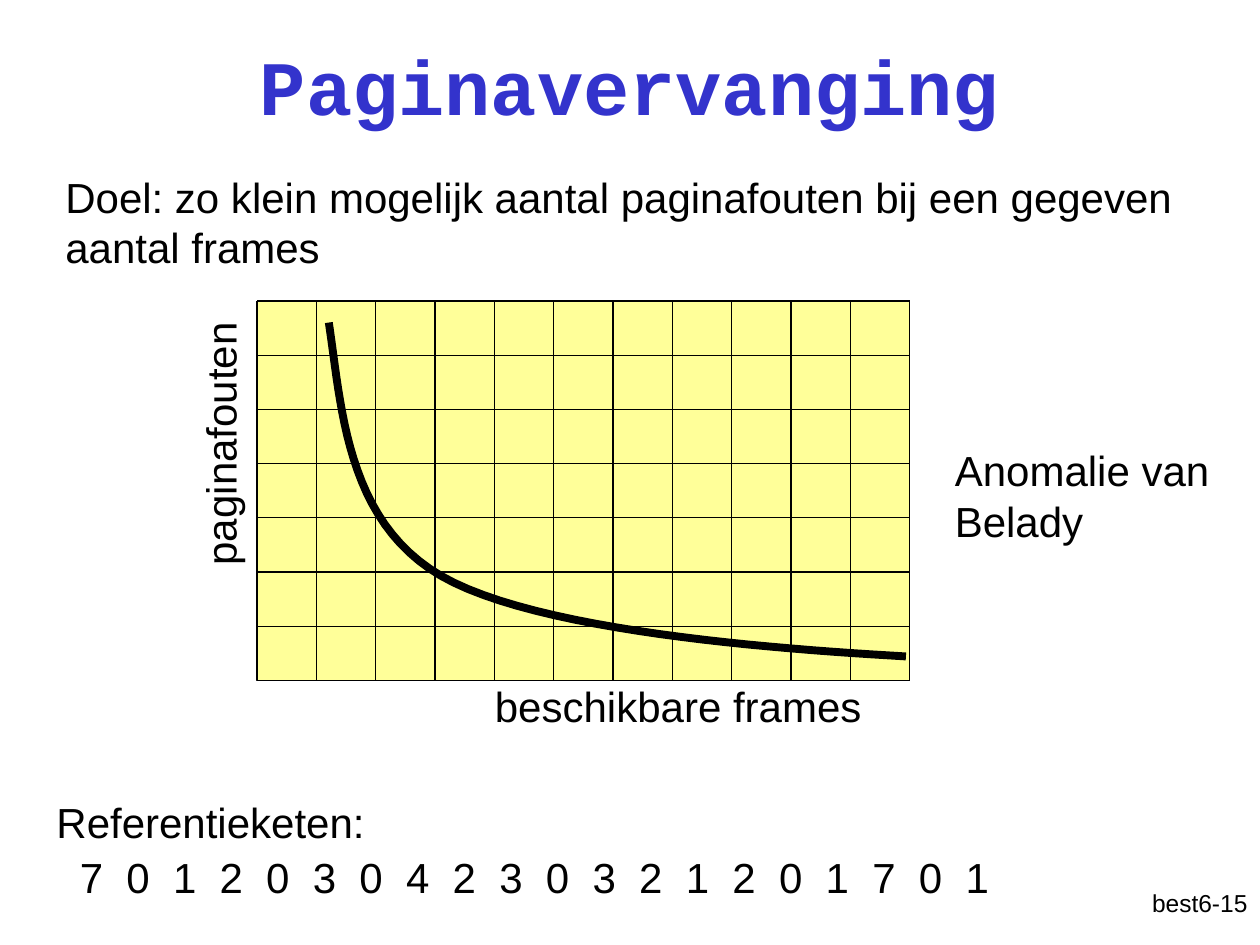
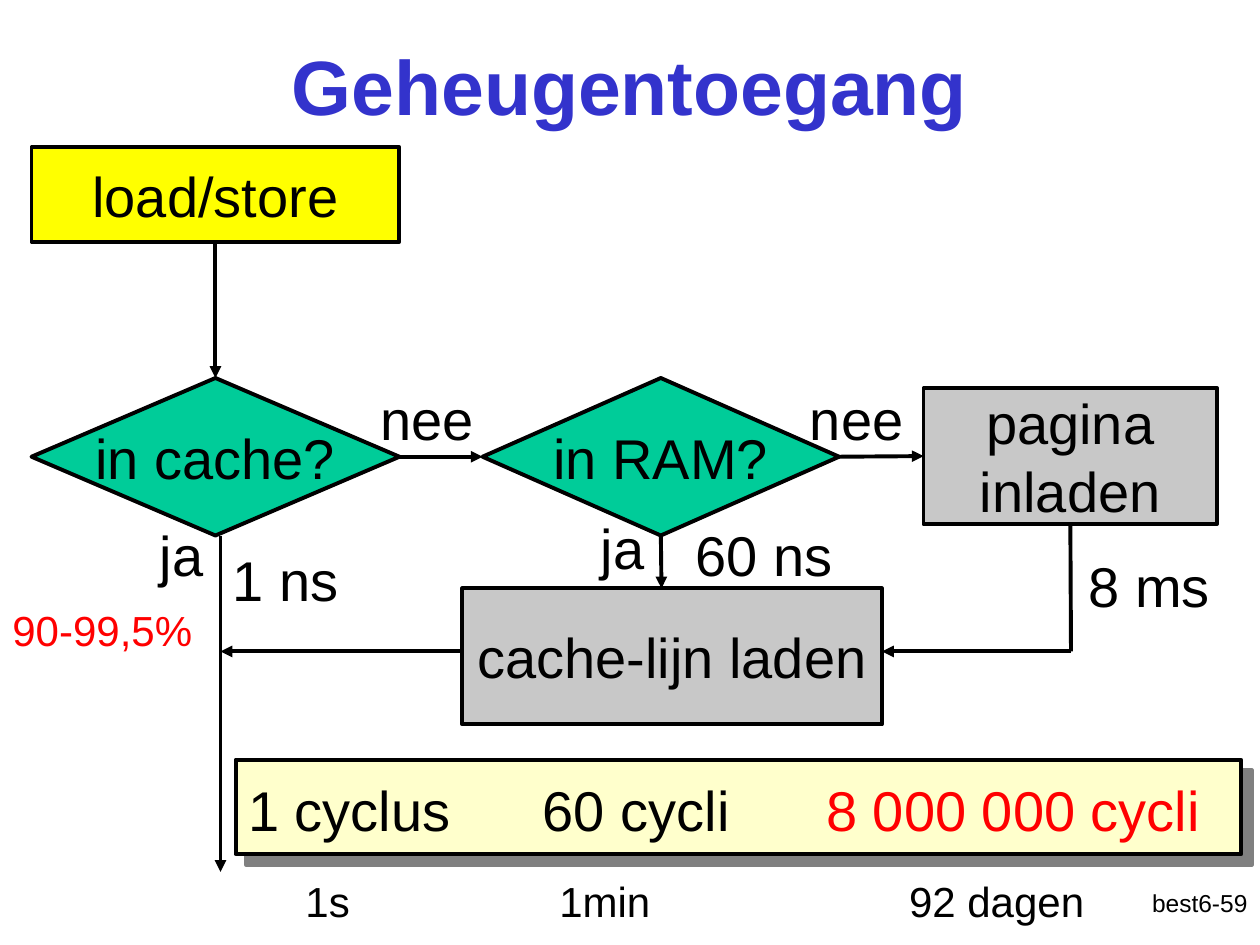
"""Builds two lecture slides on page replacement and memory access."""
from lxml import etree
from pptx import Presentation
from pptx.dml.color import RGBColor
from pptx.enum.shapes import MSO_CONNECTOR as Connector, MSO_SHAPE as Shape
from pptx.enum.text import MSO_ANCHOR as Anchor, PP_ALIGN as Align
from pptx.oxml.ns import qn
from pptx.util import Inches, Pt

BLACK = RGBColor(0x00, 0x00, 0x00)
RED = RGBColor(0xFF, 0x00, 0x00)
TITLE_BLUE = RGBColor(0x33, 0x33, 0xCC)
GRID_YELLOW = RGBColor(0xFF, 0xFF, 0x99)
BAND_CREAM = RGBColor(0xFF, 0xFF, 0xCC)
START_YELLOW = RGBColor(0xFF, 0xFF, 0x00)
TEST_GREEN = RGBColor(0x00, 0xCC, 0x99)
STEP_GREY = RGBColor(0xC8, 0xC8, 0xC8)
SHADOW_GREY = RGBColor(0x80, 0x80, 0x80)
BODY_FONT, CODE_FONT = "Arial", "Courier New"
TOP, LEFT, BOTTOM, RIGHT = range(4)

PAGING_TEXTS = [
    ("Doel: zo klein mogelijk aantal paginafouten bij een gegeven aantal frames",
     (0.42, 1.31, 9.58, 0.9)),
    ("Anomalie van Belady", (7.48, 3.48, 2.4, 0.9)),
    ("beschikbare frames", (3.83, 5.35, 3.5, 0.5)),
]
AXIS_TEXT = ("paginafouten", (0.5, 3.09, 2.49, 0.5))
GRID_BOX = (2.04, 2.39, 5.18, 3.01)
GRID_COLUMNS, GRID_ROWS = 11, 7
FAULT_CURVES = [
    ((2.61, 2.56), (2.71, 3.21), (2.74, 4.13), (3.5, 4.57)),
    ((3.5, 4.57), (4.26, 5.01), (6.14, 5.15), (7.19, 5.21)),
]
CURVE_STEPS = 24
REFERENCE_TITLE = "Referentieketen:"
REFERENCES = [7, 0, 1, 2, 0, 3, 0, 4, 2, 3, 0, 3, 2, 1, 2, 0, 1, 7, 0, 1]
REFERENCE_BOX = (0.35, 6.27, 9.06, 0.91)
REFERENCE_PITCH = 0.37

FLOW_BOXES = {
    "load": (Shape.RECTANGLE, ["load/store"], START_YELLOW, (0.25, 1.17, 2.92, 0.75)),
    "cache": (Shape.DIAMOND, ["in cache?"], TEST_GREEN, (0.25, 3, 2.92, 1.25)),
    "ram": (Shape.DIAMOND, ["in RAM?"], TEST_GREEN, (3.83, 3, 2.83, 1.25)),
    "line": (Shape.RECTANGLE, ["cache-lijn laden"], STEP_GREY, (3.67, 4.67, 3.33, 1.08)),
    "page": (Shape.RECTANGLE, ["pagina", "inladen"], STEP_GREY, (7.33, 3.08, 2.33, 1.08)),
}
FLOW_LINES = [
    ((1.71, 1.92), (1.71, 3), True, ("load", BOTTOM), ("cache", TOP)),
    ((3.17, 3.63), (3.83, 3.63), True, ("cache", RIGHT), ("ram", LEFT)),
    ((6.66, 3.63), (7.33, 3.63), True, ("ram", RIGHT), ("page", LEFT)),
    ((5.25, 4.25), (5.25, 4.67), True, ("ram", BOTTOM), None),
    ((8.5, 4.16), (8.5, 5.17), False, ("page", BOTTOM), None),
    ((8.5, 5.17), (7, 5.17), True, None, None),
    ((3.67, 5.17), (1.75, 5.17), True, None, None),
    ((1.75, 4.25), (1.75, 6.92), True, None, None),
]
FLOW_LABELS = [
    ("ja", 1.17, 4.08, 0.58), ("ja", 4.67, 4.03, 0.58),
    ("nee", 2.92, 3, 1.17), ("nee", 6.33, 3, 1.17),
    ("1 ns", 1.75, 4.28, 1.5), ("60 ns", 5.42, 4.08, 1.92), ("8 ms", 8.54, 4.33, 1.45),
]
HIT_RATE = ("90-99,5%", (0, 4.75, 1.75, 0.5))
COST_BAND = (1.87, 6.03, 7.98, 0.75)
CYCLE_COSTS = [
    ("1 cyclus", 1.87, 2.02, BLACK),
    ("60 cycli", 4.21, 2, BLACK),
    ("8 000 000 cycli", 6.46, 3.54, RED),
]
HUMAN_TIMES = [("1s", 2.09, 1.02), ("1min", 4.29, 1.02), ("92 dagen", 6.73, 2.36)]


def inches(values):
    return [Inches(value) for value in values]


def write(shape, lines, size, color=BLACK, align=Align.LEFT, font=BODY_FONT, bold=False):
    frame = shape.text_frame
    frame.text = "\n".join(lines)
    for paragraph in frame.paragraphs:
        paragraph.alignment = align
        paragraph.font.size = Pt(size)
        paragraph.font.name = font
        paragraph.font.bold = bold
        paragraph.font.color.rgb = color


def add_text(slide, text, box, size=24, **style):
    shape = slide.shapes.add_textbox(*inches(box))
    shape.text_frame.word_wrap = True
    write(shape, [text], size, **style)
    return shape


def add_box(slide, kind, box, fill, line_width):
    shape = slide.shapes.add_shape(kind, *inches(box))
    shape.shadow.inherit = False
    shape.fill.solid()
    shape.fill.fore_color.rgb = fill
    shape.line.color.rgb = BLACK
    shape.line.width = Pt(line_width)
    return shape


def add_line(slide, start, end, width, arrow=False):
    line = slide.shapes.add_connector(Connector.STRAIGHT, *inches(start + end))
    line.line.color.rgb = BLACK
    line.line.width = Pt(width)
    if arrow:
        etree.SubElement(line.line._get_or_add_ln(), qn("a:tailEnd"), type="triangle")
    etree.SubElement(line._element.spPr, qn("a:effectLst"))
    return line


def add_slide(presentation, title, number, title_font=BODY_FONT):
    slide = presentation.slides.add_slide(presentation.slide_layouts[6])
    add_text(slide, f"best6-{number}", (7.92, 7, 2.08, 0.5), 14, align=Align.RIGHT)
    heading = add_text(slide, title, (0.75, 0.05, 8.5, 1.25), 44, color=TITLE_BLUE,
                       align=Align.CENTER, font=title_font, bold=True)
    heading.text_frame.vertical_anchor = Anchor.MIDDLE
    return slide


def add_grid(slide):
    left, top, width, height = GRID_BOX
    right, bottom = left + width, top + height
    add_box(slide, Shape.RECTANGLE, GRID_BOX, GRID_YELLOW, 0.75)
    for column in range(GRID_COLUMNS + 1):
        x = left + column * width / GRID_COLUMNS
        add_line(slide, (x, top), (x, bottom), 0.75)
    for row in range(GRID_ROWS + 1):
        y = top + row * height / GRID_ROWS
        add_line(slide, (left, y), (right, y), 0.75)


def bezier_point(controls, t):
    weights = ((1 - t) ** 3, 3 * t * (1 - t) ** 2, 3 * t ** 2 * (1 - t), t ** 3)
    return tuple(sum(w * value for w, value in zip(weights, axis)) for axis in zip(*controls))


def add_fault_curve(slide):
    points = [bezier_point(controls, step / CURVE_STEPS)
              for controls in FAULT_CURVES for step in range(1, CURVE_STEPS + 1)]
    builder = slide.shapes.build_freeform(*inches(FAULT_CURVES[0][0]))
    builder.add_line_segments([inches(point) for point in points], close=False)
    curve = builder.convert_to_shape()
    curve.shadow.inherit = False
    curve.fill.background()
    curve.line.color.rgb = BLACK
    curve.line.width = Pt(4.5)


def add_references(slide):
    shape = add_text(slide, REFERENCE_TITLE, REFERENCE_BOX)
    chain = "".join(f"\t{page}" for page in REFERENCES)
    shape.text_frame.add_paragraph()
    paragraph = shape.text_frame.paragraphs[1]
    tabs = etree.SubElement(paragraph._p.get_or_add_pPr(), qn("a:tabLst"))
    for index in range(len(REFERENCES)):
        position = Inches((index + 0.5) * REFERENCE_PITCH)
        etree.SubElement(tabs, qn("a:tab"), pos=str(position), algn="l")
    write(shape, [REFERENCE_TITLE], 24)
    shape.text_frame._txBody.append(paragraph._p)
    paragraph.add_run().text = chain
    paragraph.font.size = Pt(24)
    paragraph.font.name = BODY_FONT
    paragraph.font.color.rgb = BLACK
    paragraph.line_spacing = 0.5
    paragraph.space_before = Pt(15)


def add_cost_band(slide):
    band = add_box(slide, Shape.RECTANGLE, COST_BAND, BAND_CREAM, 2.25)
    effects = band._element.spPr.find(qn("a:effectLst"))
    shadow = etree.SubElement(effects, qn("a:outerShdw"), dist=str(Pt(8.5)),
                              dir=str(45 * 60000), algn="ctr", rotWithShape="0")
    etree.SubElement(shadow, qn("a:srgbClr"), val=str(SHADOW_GREY))
    for text, left, width, color in CYCLE_COSTS:
        add_text(slide, text, (left, 6.11, width, 0.64), 32, color=color)
    for text, left, width in HUMAN_TIMES:
        add_text(slide, text, (left, 6.9, width, 0.5), align=Align.CENTER)


def add_flow(slide):
    boxes = {}
    for name, (kind, lines, fill, box) in FLOW_BOXES.items():
        shape = boxes[name] = add_box(slide, kind, box, fill, 2.25)
        shape.text_frame.word_wrap = False
        shape.text_frame.vertical_anchor = Anchor.MIDDLE
        write(shape, lines, 32, align=Align.CENTER)
    for start, end, arrow, source, target in FLOW_LINES:
        line = add_line(slide, start, end, 2.25, arrow)
        if source:
            line.begin_connect(boxes[source[0]], source[1])
        if target:
            line.end_connect(boxes[target[0]], target[1])
    for text, left, top, width in FLOW_LABELS:
        add_text(slide, text, (left, top, width, 0.64), 32)
    add_text(slide, *HIT_RATE, color=RED)


def main():
    presentation = Presentation()
    presentation.slide_width, presentation.slide_height = Inches(10), Inches(7.5)

    paging = add_slide(presentation, "Paginavervanging", 15, CODE_FONT)
    for text, box in PAGING_TEXTS:
        add_text(paging, text, box)
    add_grid(paging)
    add_text(paging, *AXIS_TEXT).rotation = 270
    add_fault_curve(paging)
    add_references(paging)

    access = add_slide(presentation, "Geheugentoegang", 59)
    add_cost_band(access)
    add_flow(access)

    presentation.save("out.pptx")


if __name__ == "__main__":
    main()
